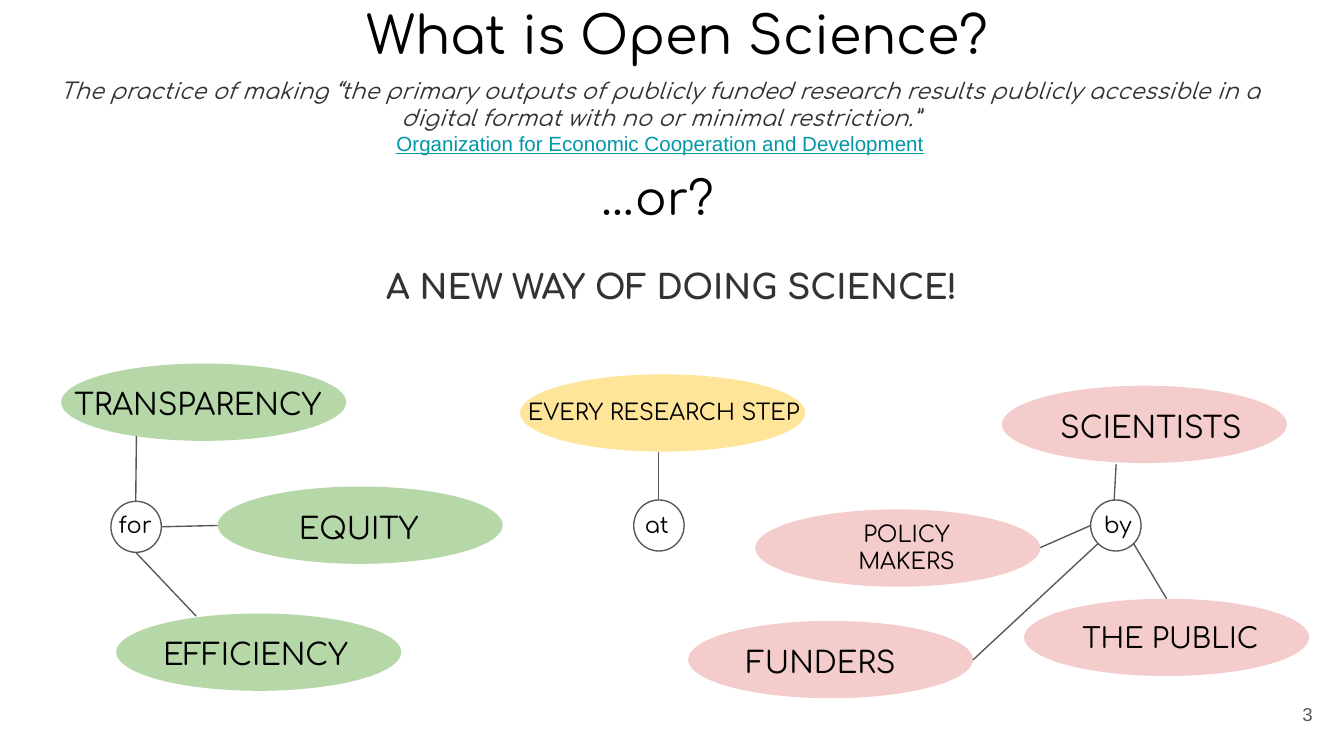
"""Build the slide that asks what open science is."""
from lxml import etree
from pptx import Presentation
from pptx.dml.color import RGBColor
from pptx.enum.shapes import MSO_CONNECTOR as Conn, MSO_SHAPE as Shape
from pptx.enum.text import MSO_ANCHOR as Anchor, MSO_AUTO_SIZE as Auto, PP_ALIGN as Align
from pptx.oxml.ns import qn
from pptx.util import Pt

PX = 4572
INK, DARK, GREY, TEAL = "000000", "333333", "595959", "0097A7"
GREEN, GOLD, PINK = "B6D7A8", "FFE599", "F4CCCC"
FONT = "Comfortaa"
LEFT, MID, RIGHT = Align.LEFT, Align.CENTER, Align.RIGHT


def color(code):
    return RGBColor.from_string(code)


def write(box, spot, paras, align=LEFT, anchor=Anchor.TOP):
    box.left, box.top, box.width, box.height = [n * PX for n in spot]
    frame = box.text_frame
    frame.word_wrap = True
    frame.auto_size = Auto.NONE
    frame.vertical_anchor = anchor
    frame.margin_left = frame.margin_right = 20 * PX
    frame.margin_top = frame.margin_bottom = 20 * PX
    for i, (text, size, face, code, style) in enumerate(paras):
        para = frame.add_paragraph() if i else frame.paragraphs[0]
        para.alignment = align
        run = para.add_run()
        run.text = text
        font = run.font
        font.size, font.name = Pt(size), face
        font.color.rgb = color(code)
        font.bold = style == "bold"
        font.italic = style == "italic"
        font.underline = style == "under"


deck = Presentation()
deck.slide_width, deck.slide_height = 2000 * PX, 1125 * PX
slide = deck.slides.add_slide(deck.slide_layouts[5])
shapes = slide.shapes

write(shapes.title, (76, -17, 1864, 200),
      [("What is Open Science?", 28, FONT, INK, "")], MID)

quote = ("The practice of making “the primary outputs of publicly funded research results "
         "publicly accessible in a digital format with no or minimal restriction.”")
source = "Organization for Economic Cooperation and Development"
texts = [
    ((26, 95, 1914, 158), [(quote, 12, FONT, DARK, "italic"),
                           (source, 11, "Arial", TEAL, "under")], MID, Anchor.TOP),
    ((760, 232, 440, 130), [("…or?", 25, FONT, INK, "")], MID, Anchor.TOP),
    ((555, 376, 1122, 100), [("A NEW WAY OF DOING SCIENCE!", 18, FONT, DARK, "bold")],
     LEFT, Anchor.TOP),
    ((1853, 1020, 120, 86), [("3", 10, "Arial", GREY, "")], RIGHT, Anchor.MIDDLE),
]
for spot, paras, align, anchor in texts:
    write(shapes.add_textbox(0, 0, PX, PX), spot, paras, align, anchor)

ovals = [
    ("TRANSPARENCY", 16, GREEN, 91, 541, (91, 554, 574, 130), LEFT),
    ("EQUITY", 16, GREEN, 324, 724, (425, 738, 238, 130), LEFT),
    ("EFFICIENCY", 16, GREEN, 173, 913, (223, 926, 574, 130), LEFT),
    ("EVERY RESEARCH STEP", 12, GOLD, 774, 557, (766, 572, 574, 68), LEFT),
    ("SCIENTISTS", 16, PINK, 1491, 574, (1558, 588, 318, 68), LEFT),
    ("POLICY MAKERS", 12, PINK, 1124, 758, (1194, 754, 310, 68), MID),
    ("THE PUBLIC", 15, PINK, 1524, 891, (1591, 904, 318, 68), LEFT),
    ("FUNDERS", 16, PINK, 1024, 924, (1091, 938, 318, 68), LEFT),
]
for text, size, fill, x, y, spot, align in ovals:
    oval = shapes.add_shape(Shape.OVAL, x * PX, y * PX, 424 * PX, 115 * PX)
    oval.shadow.inherit = False
    oval.fill.solid()
    oval.fill.fore_color.rgb = color(fill)
    oval.line.fill.background()
    write(shapes.add_textbox(0, 0, PX, PX), spot, [(text, size, FONT, INK, "")], align)

hubs = [("for", 165, 746, 157), ("at", 943, 744, 940), ("by", 1623, 744, 1623)]
for text, x, y, left in hubs:
    ring = shapes.add_shape(Shape.OVAL, x * PX, y * PX, 75 * PX, 76 * PX)
    ring.shadow.inherit = False
    ring.fill.background()
    ring.line.color.rgb = color(GREY)
    ring.line.width = Pt(0.75)
    write(shapes.add_textbox(0, 0, PX, PX), (left, 740, 240, 130),
          [(text, 12, FONT, INK, "")])

links = [
    (202, 746, 203, 649), (240, 784, 324, 782), (202, 822, 292, 917),
    (980, 744, 980, 672),
    (1658, 744, 1661, 691), (1623, 782, 1548, 815),
    (1634, 809, 1448, 982), (1687, 809, 1736, 891),
]
for ends in links:
    link = shapes.add_connector(Conn.STRAIGHT, *[n * PX for n in ends])
    link.line.color.rgb = color(GREY)
    link.line.width = Pt(0.75)
    etree.SubElement(link._element.spPr, qn("a:effectLst"))

deck.save("out.pptx")
